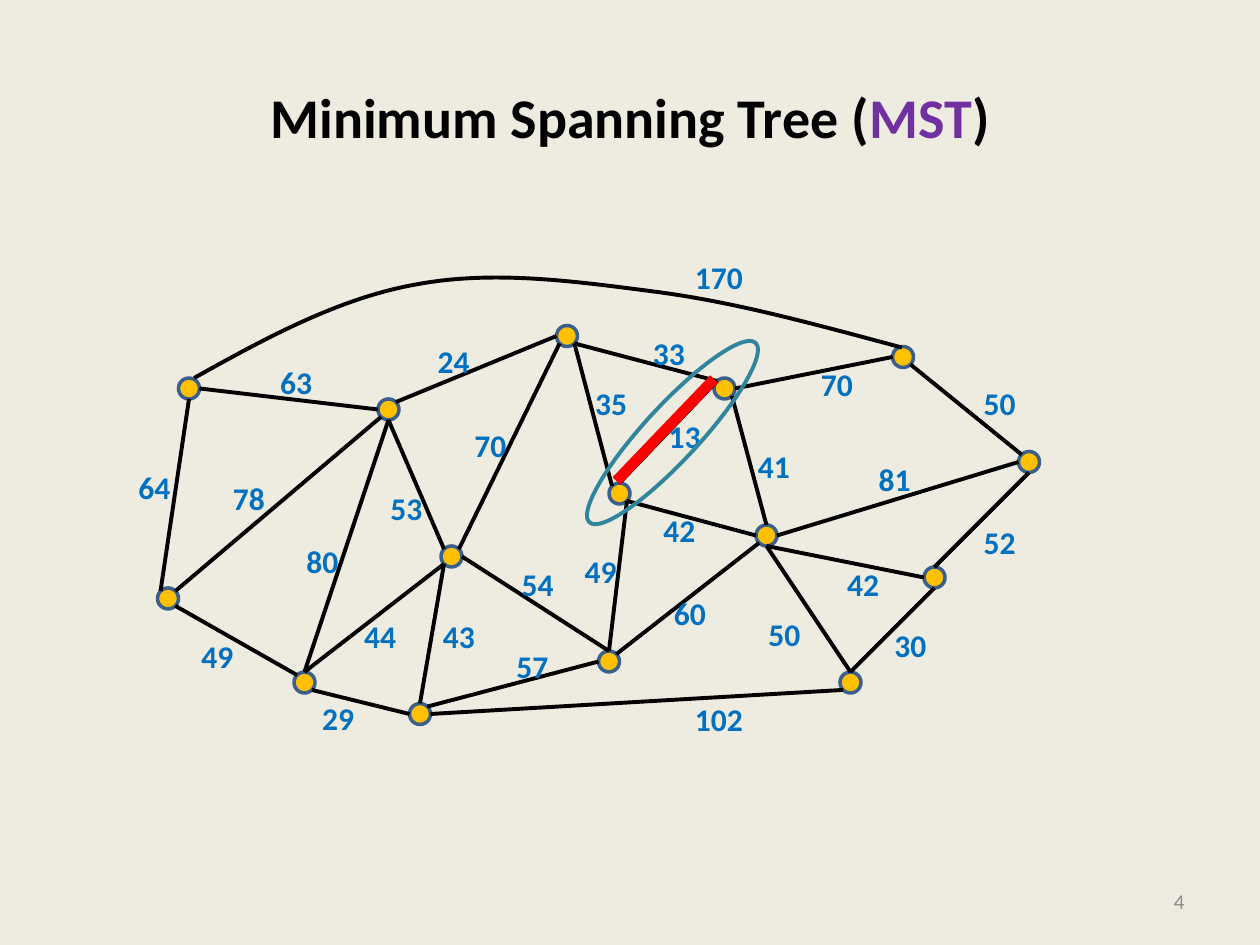
from math import cos, radians, sin

from lxml.etree import SubElement
from pptx import Presentation
from pptx.dml.color import RGBColor
from pptx.enum.shapes import MSO_CONNECTOR as CONN, MSO_SHAPE as SHAPE
from pptx.enum.text import MSO_ANCHOR as ANCHOR, MSO_AUTO_SIZE as AUTO, PP_ALIGN as ALIGN
from pptx.oxml.ns import qn
from pptx.util import Inches, Pt

CELLS_PER_INCH = 12
RADIUS = 1

# Node centres, in grid cells
NODES = {
    "a": (18, 37), "b": (37, 39), "c": (16, 57), "d": (43, 53), "e": (54, 32),
    "f": (29, 65), "g": (69, 37), "h": (73, 51), "i": (58, 63), "j": (89, 55),
    "k": (81, 65), "l": (40, 68), "m": (59, 47), "n": (86, 34), "o": (98, 44),
}

ANGLES = {side: 45 * n for n, side in enumerate("E SE S SW W NW N NE".split())}

# From node and side, to node and side, weight, label corner
EDGES = [
    ("a", "E", "b", "W", 63, (25.5, 34)),
    ("a", "S", "c", "NW", 64, (12, 44)),
    ("b", "S", "d", "NW", 53, (36, 46)),
    ("d", "SW", "f", "N", 44, (33.5, 58.2)),
    ("e", "SW", "d", "NE", 70, (44, 40)),
    ("g", "NW", "m", "N", 13, (62.5, 39.1)),
    ("e", "SE", "g", "NW", 33, (61, 31.2)),
    ("d", "E", "i", "N", 54, (48.5, 53.2)),
    ("d", "SW", "l", "N", 43, (41, 58.2)),
    ("b", "NE", "e", "W", 24, (40.5, 32)),
    ("g", "E", "n", "W", 70, (77, 34.2)),
    ("n", "SE", "o", "NW", 50, (92.5, 36)),
    ("g", "SE", "h", "N", 41, (71, 42)),
    ("o", "W", "h", "E", 81, (82.5, 43.2)),
    ("j", "W", "h", "S", 42, (79.5, 53.2)),
    ("k", "N", "h", "S", 50, (72, 58)),
    ("i", "N", "m", "SE", 49, (54.5, 52)),
    ("m", "SE", "h", "W", 42, (62, 48.1)),
    ("l", "E", "k", "SW", 102, (65, 66.1)),
    ("c", "SE", "f", "NW", 49, (18, 60.1)),
    ("i", "W", "l", "NE", 57, (48, 61)),
    ("b", "SW", "c", "NE", 78, (21, 45)),
    ("b", "S", "f", "N", 80, (28, 51)),
    ("e", "SE", "m", "NW", 35, (55.5, 36)),
    ("h", "SW", "i", "NE", 60, (63, 56)),
    ("o", "S", "j", "N", 52, (92.5, 49.2)),
    ("k", "N", "j", "S", 30, (84, 59)),
    ("l", "W", "f", "SE", 29, (29.5, 66)),
]

# Start point, then two control points and an end point per segment
LONG_EDGE = [
    (18.5, 36),
    (25.3, 32.2), (32.3, 28.4), (39.6, 27.1),
    (47, 25.7), (54.8, 26.8), (62.5, 27.8),
    (70.2, 28.8), (78, 31), (85.9, 33.1),
]


def cells(*values):
    return [Inches(v / CELLS_PER_INCH) for v in values]


def color(hex_string):
    return RGBColor.from_string(hex_string)


def side_point(node, side):
    """Return the point on the node's rim at the given compass side."""
    x, y = NODES[node]
    angle = radians(ANGLES[side])
    return x + RADIUS * cos(angle), y + RADIUS * sin(angle)


class GraphSlide:
    """Draws graph elements on one slide, measured in grid cells."""

    font = "Calibri"
    ink, label_ink = "000000", "0070C0"
    node_fill, node_line = "FFC000", "3A5F8C"
    edge_width = 2.25

    def __init__(self, prs, background):
        self.slide = prs.slides.add_slide(prs.slide_layouts[6])
        self.shapes = self.slide.shapes
        fill = self.slide.background.fill
        fill.solid()
        fill.fore_color.rgb = color(background)

    def outline(self, sp, line, width):
        sp.line.color.rgb = color(line)
        sp.line.width = Pt(width)

    def text(self, box, runs, size, bold=False, align=ALIGN.LEFT,
             anchor=ANCHOR.MIDDLE, wrap=True):
        """Add one paragraph made of (text, colour) runs."""
        tf = self.shapes.add_textbox(*cells(*box)).text_frame
        tf.word_wrap = wrap
        tf.auto_size = AUTO.NONE if wrap else AUTO.SHAPE_TO_FIT_TEXT
        tf.vertical_anchor = anchor
        p = tf.paragraphs[0]
        p.alignment = align
        p.font.name, p.font.size, p.font.bold = self.font, Pt(size), bold
        for content, ink in runs:
            r = p.add_run()
            r.text = content
            r.font.color.rgb = color(ink)

    def label(self, weight, corner):
        width = 7.1 if weight > 99 else 5.5
        self.text((*corner, width, 4.8), [(str(weight), self.label_ink)], 18,
                  bold=True, anchor=ANCHOR.TOP, wrap=False)

    def ellipse(self, box, line, width, fill=None, rotation=0):
        sp = self.shapes.add_shape(SHAPE.OVAL, *cells(*box))
        sp.shadow.inherit = False
        sp.rotation = rotation
        if fill:
            sp.fill.solid()
            sp.fill.fore_color.rgb = color(fill)
        else:
            sp.fill.background()
        self.outline(sp, line, width)

    def node(self, x, y):
        self.ellipse((x - RADIUS, y - RADIUS, 2 * RADIUS, 2 * RADIUS),
                     self.node_line, 2, self.node_fill)

    def edge(self, start, end, line=ink, width=edge_width):
        sp = self.shapes.add_connector(CONN.STRAIGHT, *cells(*start, *end))
        self.outline(sp, line, width)
        SubElement(sp._element.spPr, qn("a:effectLst"))

    def curve(self, points):
        """Draw a polyline through the points, then turn it into cubic Béziers."""
        start, *rest = [cells(*point) for point in points]
        builder = self.shapes.build_freeform(*start)
        builder.add_line_segments(rest, close=False)
        sp = builder.convert_to_shape()
        sp.shadow.inherit = False
        sp.fill.background()
        self.outline(sp, self.ink, self.edge_width)
        outline = next(sp._element.iter(qn("a:path")))
        steps = outline.findall(qn("a:lnTo"))
        for i in range(0, len(steps), 3):
            bezier = SubElement(outline, qn("a:cubicBezTo"))
            for step in steps[i:i + 3]:
                bezier.append(step[0])
                outline.remove(step)


def main():
    prs = Presentation()
    prs.slide_width, prs.slide_height = Inches(10), Inches(7.5)
    s = GraphSlide(prs, "EEECE1")

    s.text((6, 3.6, 108, 15),
           [("Minimum Spanning Tree (", s.ink), ("MST", "7030A0"), (")", s.ink)],
           32, bold=True, align=ALIGN.CENTER)
    s.text((86, 83.4, 28, 4.8), [("4", "8C8C8C")], 12, align=ALIGN.RIGHT)

    for center in NODES.values():
        s.node(*center)
    for node, side, other, other_side, _, _ in EDGES:
        s.edge(side_point(node, side), side_point(other, other_side))
    s.curve(LONG_EDGE)
    s.label(170, (65, 24))
    for *_, weight, corner in EDGES:
        s.label(weight, corner)

    s.edge((68, 36.1), (58.7, 45.8), "FF0000", 6)
    s.ellipse((52.4, 38.6, 23.3, 5.2), "31859C", 2.25, rotation=312.8)

    prs.save("out.pptx")


if __name__ == "__main__":
    main()
